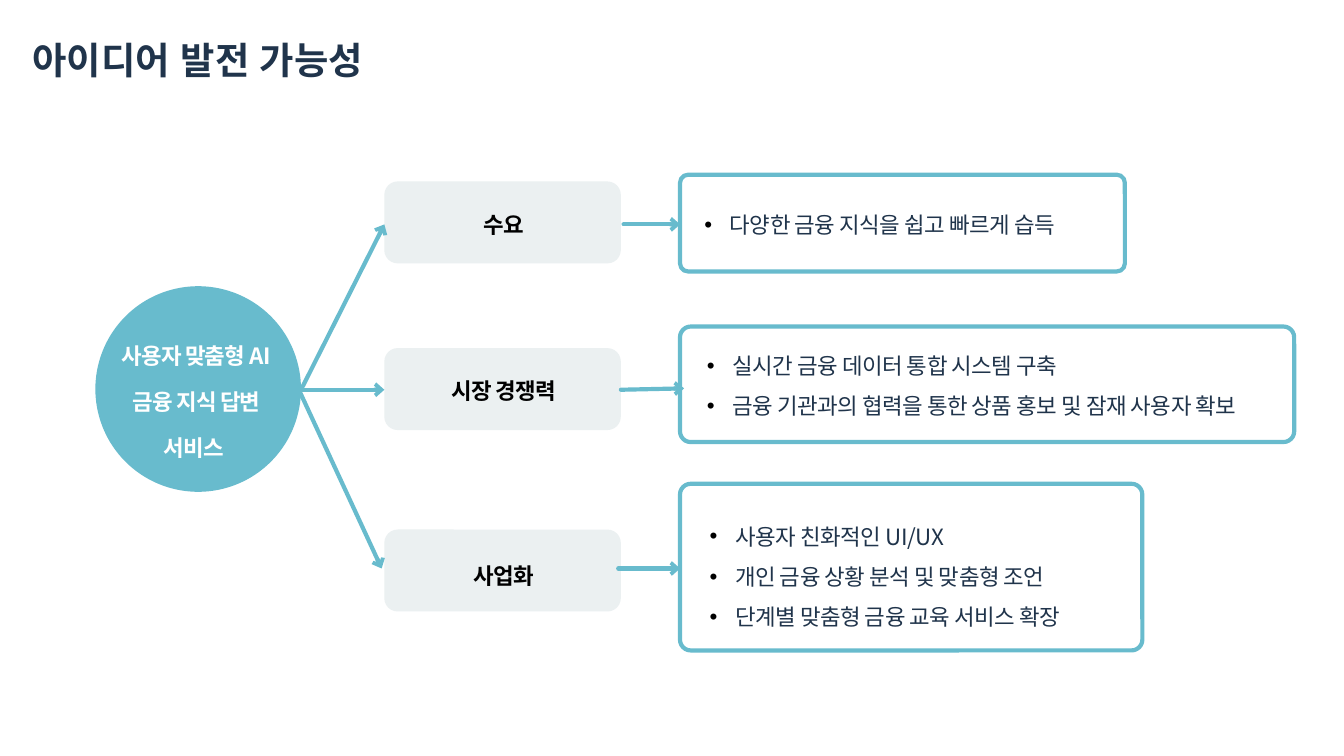
from lxml import etree
from pptx import Presentation
from pptx.dml.color import RGBColor
from pptx.enum import shapes, text
from pptx.oxml.ns import qn
from pptx.util import Inches, Pt

TEAL, NAVY, PALE, WHITE, BLACK = "68BBCD", "20344B", "EBF0F1", "FFFFFF", "000000"
KOREAN = "Noto Sans CJK SC"


def color(value):
    return RGBColor.from_string(value)


class Diagram:
    line_width = Pt(2.25)
    text_size = 12

    def __init__(self, slide):
        self.slide = slide

    def fill_text(self, frame, lines, ink, spacing, bold=False, tracking=0,
                  align=text.PP_ALIGN.LEFT, font=KOREAN, size=text_size, bullets=False):
        frame.word_wrap = True
        frame.auto_size = text.MSO_AUTO_SIZE.NONE
        frame.vertical_anchor = text.MSO_ANCHOR.TOP
        frame.margin_left = frame.margin_right = frame.margin_top = frame.margin_bottom = 0
        for index, line in enumerate(lines):
            paragraph = frame.add_paragraph() if index else frame.paragraphs[0]
            paragraph.alignment = align
            paragraph.line_spacing = spacing
            if bullets:
                self.bullet(paragraph)
            run = paragraph.add_run()
            run.text = line
            run.font.size = Pt(size)
            run.font.bold = bold
            run.font.color.rgb = color(ink)
            run.font.name = font
            properties = run.font._element
            properties.set("spc", str(round(tracking * 100)))
            etree.SubElement(properties, qn("a:ea")).set("typeface", font)

    def bullet(self, paragraph):
        properties = paragraph._p.get_or_add_pPr()
        properties.set("marL", str(Inches(0.19)))
        properties.set("indent", str(-Inches(0.19)))
        bullet_color = etree.SubElement(properties, qn("a:buClr"))
        etree.SubElement(bullet_color, qn("a:srgbClr")).set("val", BLACK)
        etree.SubElement(properties, qn("a:buFont")).set("typeface", "Arial")
        etree.SubElement(properties, qn("a:buChar")).set("char", "•")

    def title(self, words, left, top, width, height):
        shape = self.slide.shapes.title
        shape.left, shape.top = Inches(left), Inches(top)
        shape.width, shape.height = Inches(width), Inches(height)
        self.fill_text(shape.text_frame, [words], NAVY, 1.4, bold=True, font="Arial", size=20)

    def text_box(self, lines, left, top, width, height, **style):
        shape = self.slide.shapes.add_textbox(
            Inches(left), Inches(top), Inches(width), Inches(height))
        self.fill_text(shape.text_frame, lines, **style)

    def shape(self, kind, left, top, width, height, fill, outline=None, radius=None):
        shape = self.slide.shapes.add_shape(
            kind, Inches(left), Inches(top), Inches(width), Inches(height))
        shape.shadow.inherit = False
        shape.fill.solid()
        shape.fill.fore_color.rgb = color(fill)
        if outline:
            shape.line.color.rgb = color(outline)
            shape.line.width = self.line_width
        else:
            shape.line.fill.background()
        if radius:
            shape.adjustments[0] = radius / min(width, height)

    def arrow(self, start, end):
        connector = self.slide.shapes.add_connector(
            shapes.MSO_CONNECTOR.STRAIGHT, *map(Inches, start + end))
        connector.line.color.rgb = color(TEAL)
        connector.line.width = self.line_width
        line = connector.line._get_or_add_ln()
        line.set("cap", "rnd")
        head = etree.SubElement(line, qn("a:tailEnd"))
        head.set("type", "arrow")
        head.set("len", "sm")
        etree.SubElement(connector._element.spPr, qn("a:effectLst"))


def main():
    presentation = Presentation()
    presentation.slide_width = Inches(10)
    presentation.slide_height = Inches(10) * 9 // 16
    diagram = Diagram(presentation.slides.add_slide(presentation.slide_layouts[5]))
    rounded = shapes.MSO_SHAPE.ROUNDED_RECTANGLE
    center = text.PP_ALIGN.CENTER

    diagram.title("아이디어 발전 가능성", 0.24, 0.14, 3.65, 0.47)

    # Central idea
    diagram.shape(shapes.MSO_SHAPE.OVAL, 0.71, 2.13, 1.53, 1.53, TEAL)
    diagram.text_box(["사용자 맞춤형 AI금융 지식 답변 서비스 "], 0.88, 2.4, 1.16, 1.01,
                     ink=WHITE, spacing=Pt(24.8), bold=True, tracking=-0.45, align=center)

    # Branches: label, label box top, label text top, arrows, detail box, details
    branches = [
        ("수요", 1.35, 1.52, ((2.24, 2.9), (2.86, 1.67)), ((4.64, 1.67), (5.06, 1.67)),
         (1.3, 3.31, 0.72, 0.06), (5.24, 1.54, 3.59, 0.21), Pt(16.5),
         ["다양한 금융 지식을 쉽고 빠르게 습득"]),
        ("시장 경쟁력", 2.59, 2.76, ((2.24, 2.9), (2.86, 2.9)), ((4.62, 2.9), (5.09, 2.89)),
         (2.43, 4.57, 0.86, 0.08), (5.26, 2.52, 4.26, 0.57), 1.5,
         ["실시간 금융 데이터 통합 시스템 구축",
          "금융 기관과의 협력을 통한 상품 홍보 및 잠재 사용자 확보"]),
        ("사업화", 3.94, 4.13, ((2.21, 2.87), (2.84, 4.23)), ((4.6, 4.23), (5.06, 4.23)),
         (3.6, 3.44, 1.24, 0.08), (5.28, 3.79, 3.59, 0.88), 1.5,
         ["사용자 친화적인 UI/UX", "개인 금융 상황 분석 및 맞춤형 조언",
          "단계별 맞춤형 금융 교육 서비스 확장"]),
    ]
    for (label, box_top, label_top, arrow_in, arrow_out,
         (detail_top, width, height, radius), detail_area, spacing, details) in branches:
        diagram.shape(rounded, 2.86, box_top, 1.76, 0.61, PALE, radius=0.1)
        diagram.text_box([label], 3.04, label_top, 1.42, 0.23, ink=BLACK,
                         spacing=Pt(18), bold=True, tracking=-0.4, align=center)
        diagram.shape(rounded, 5.06, detail_top, width, height, WHITE, TEAL, radius)
        diagram.arrow(*arrow_in)
        diagram.arrow(*arrow_out)
        diagram.text_box(details, *detail_area, ink=NAVY,
                         spacing=spacing, tracking=-0.25, bullets=True)

    presentation.save("out.pptx")


if __name__ == "__main__":
    main()
